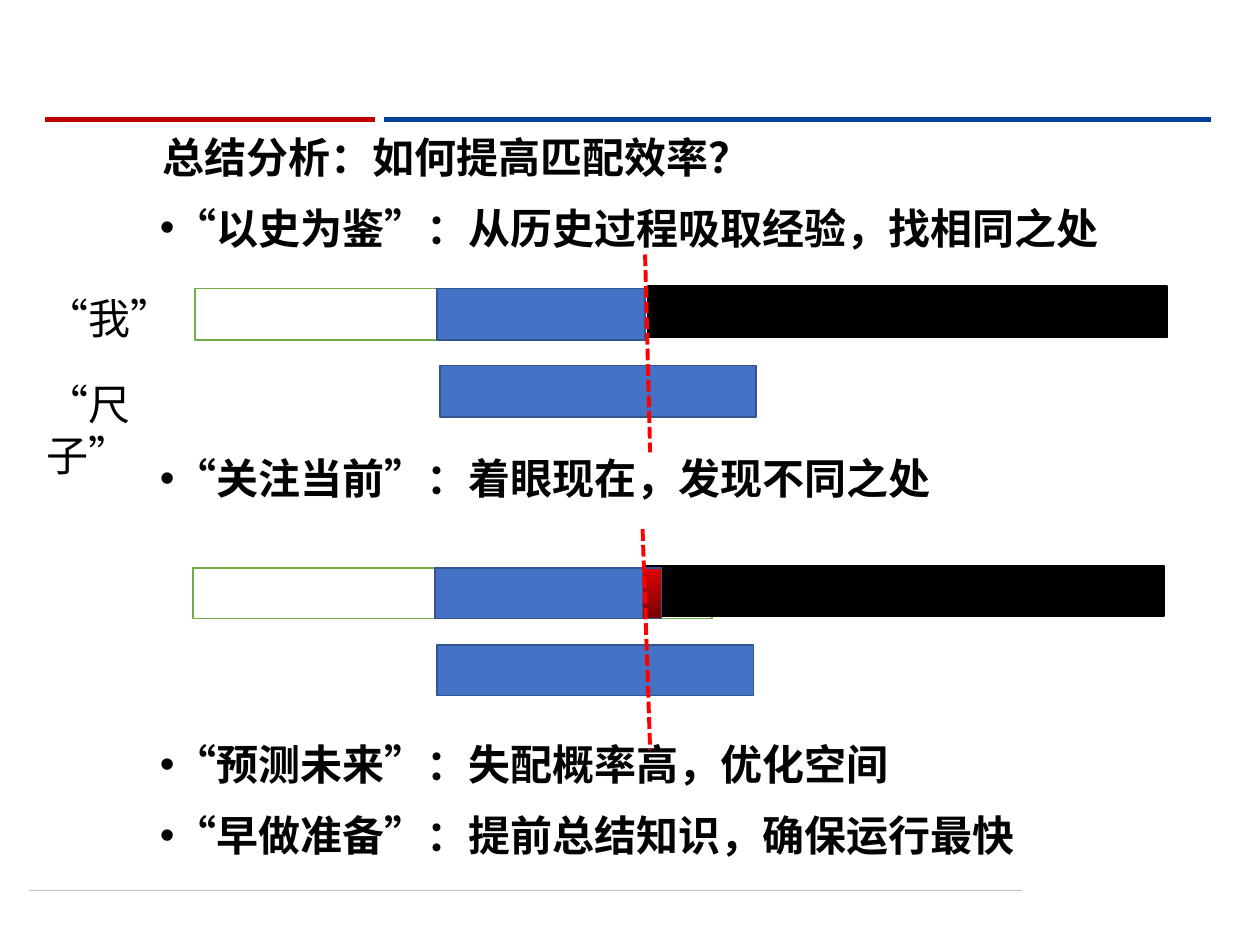
from pptx import Presentation
from pptx.dml.color import RGBColor
from pptx.enum.dml import MSO_LINE
from pptx.enum.shapes import MSO_CONNECTOR, MSO_SHAPE
from pptx.oxml.ns import qn
from pptx.util import Inches, Pt
from lxml.etree import SubElement

THEME = {
    "font": "Arial", "size": 24, "leading": 29, "ink": "030301", "label": "000000",
    "rule": "BFBFBF", "navy": "004299", "crimson": "C00000",
    "white": "FFFFFF", "green": "70AD47", "black": "000000",
    "blue": "4472C4", "edge": "325491", "marker": "FF0000",
    "mismatch": ("E30000", "760303"),
}


def add_line(start, end, color, width, dash=None):
    line = page.shapes.add_connector(MSO_CONNECTOR.STRAIGHT, *map(Inches, start + end))
    line.line.color.rgb = RGBColor.from_string(THEME[color])
    line.line.width = Pt(width)
    line.line.dash_style = dash
    SubElement(line._element.spPr, qn("a:effectLst"))


def add_text(place, lines, bold, color):
    frame = page.shapes.add_textbox(*map(Inches, place)).text_frame
    frame.word_wrap = True
    for number, (words, before, indent, bullet) in enumerate(lines):
        para = frame.paragraphs[0] if number == 0 else frame.add_paragraph()
        para.line_spacing = Pt(THEME["leading"])
        para.space_before = Pt(before)
        properties = para._p.get_or_add_pPr()
        properties.set("marL", str(Inches(indent)))
        properties.set("indent", "0")
        if bullet:
            SubElement(properties, qn("a:buFont")).set("typeface", THEME["font"])
            SubElement(properties, qn("a:buChar")).set("char", "•")
        span = para.add_run()
        span.text = words
        style = {"name": THEME["font"], "size": Pt(THEME["size"]), "bold": bold}
        for name, value in style.items():
            setattr(span.font, name, value)
        span.font.color.rgb = RGBColor.from_string(THEME[color])
        span._r.get_or_add_rPr().set("lang", "zh-CN")


deck = Presentation()
deck.slide_width, deck.slide_height = Inches(10), Inches(7.5)
page = deck.slides.add_slide(deck.slide_layouts[6])

add_line((0.23, 7.07), (8.11, 7.07), "rule", 0.5)
add_line((3.05, 0.95), (9.61, 0.95), "navy", 3)
add_line((0.36, 0.95), (2.98, 0.95), "crimson", 3)

add_text((0.67, 0.99, 8.99, 6), [
    ("总结分析：如何提高匹配效率？", 0, 0.52, False),
    ("“以史为鉴”：从历史过程吸取经验，找相同之处", 11.5, 0.5, True),
    ("“关注当前”：着眼现在，发现不同之处", 114, 0.5, True),
    ("“预测未来”：失配概率高，优化空间", 134.5, 0.5, True),
    ("“早做准备”：提前总结知识，确保运行最快", 11.5, 0.5, True),
], True, "ink")

diagrams = [
    (0, 2.29, 3.59, 0.41, False, (5.12, 2.02), (5.16, 3.59)),
    (-0.02, 4.51, 4.12, 0.4, True, (5.1, 4.2), (5.16, 5.95)),
]
for shift, top, known_width, height, has_mismatch, marker_start, marker_end in diagrams:
    bars = [
        (1.55, top, known_width, "white", "green"),
        (5.14, top - 0.02, 4.12, "black", "black"),
        (3.49, top + 0.61, 2.51, "blue", "edge"),
        (3.47, top, 1.65, "blue", "edge"),
    ]
    if has_mismatch:
        bars.append((5.12, top, 0.15, "mismatch", "edge"))
    for left, bar_top, width, fill, edge in bars:
        bar = page.shapes.add_shape(
            MSO_SHAPE.RECTANGLE, Inches(left + shift), Inches(bar_top), Inches(width), Inches(height))
        bar.shadow.inherit = False
        bar.line.color.rgb = RGBColor.from_string(THEME[edge])
        bar.line.width = Pt(1)
        if fill == "mismatch":
            bar.fill.gradient()
            bar.fill.gradient_angle = 270
            for stop, color, position in zip(bar.fill.gradient_stops, THEME[fill], (0, 1)):
                stop.color.rgb = RGBColor.from_string(color)
                stop.position = position
        else:
            bar.fill.solid()
            bar.fill.fore_color.rgb = RGBColor.from_string(THEME[fill])
    add_line(marker_start, marker_end, "marker", 2.25, MSO_LINE.SQUARE_DOT)

add_text((0.27, 2.27, 1.41, 1.24), [
    ("“我”", 0, 0, False),
    ("“尺子”", 20, 0, False),
], False, "label")

deck.save("out.pptx")
